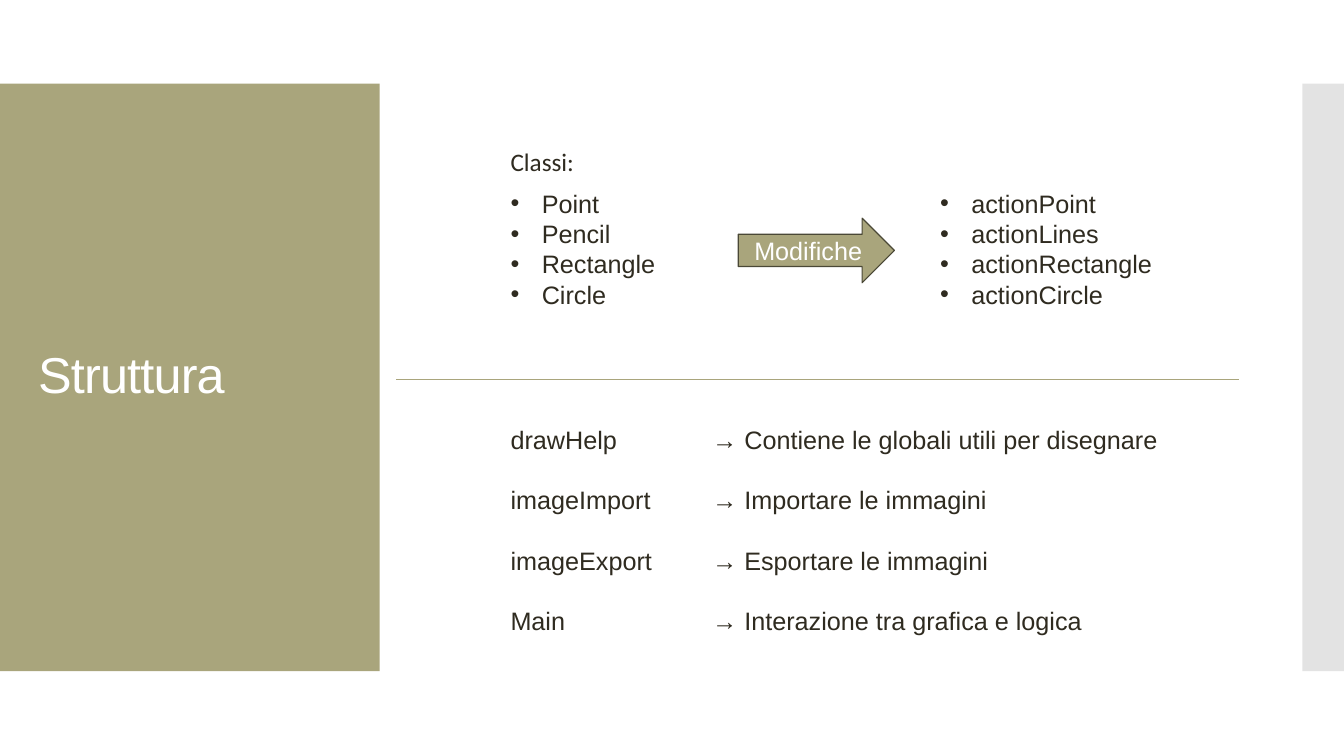
"""Build the "Struttura" slide: a title panel, two class lists and a list of modules."""
from dataclasses import dataclass, field
from typing import Any

from lxml.etree import SubElement
from pptx import Presentation
from pptx.dml.color import RGBColor
from pptx.enum.shapes import MSO_CONNECTOR as Connector, MSO_SHAPE as Preset
from pptx.enum.text import MSO_ANCHOR as Anchor, MSO_AUTO_SIZE as AutoSize, PP_ALIGN as Align
from pptx.oxml.ns import qn
from pptx.util import Inches, Pt

COLUMNS, ROWS = 160, 90
OLIVE, INK, WHITE, GREY, EDGE = "A9A57C", "2F2B20", "FFFFFF", "C8C8C8", "4A4836"
TEXT_LEFT, LIST_TOP, LIST_HEIGHT = 59.58, 21.8, 15.72
PANEL_TOP, PANEL_HEIGHT = 9.96, 69.96
HANGING = Inches(0.31)
LINE = Pt(21.6)


@dataclass(frozen=True)
class Frame:
    """A rectangle in grid columns and rows."""
    column: float
    row: float
    columns: float
    rows: float


@dataclass(frozen=True)
class Block:
    """A text placeholder with its lines and format values."""
    index: int
    frame: Frame
    lines: list[str]
    paragraph: dict[str, Any] = field(default_factory=dict)
    font: dict[str, Any] = field(default_factory=dict)
    color: str = INK
    anchor: Any = Anchor.TOP
    indent: int = 0


@dataclass(frozen=True)
class Panel:
    """A plain coloured band behind the text."""
    frame: Frame
    color: str
    opacity: int = 100


@dataclass(frozen=True)
class Module:
    """A module, the tabs up to the shared column, and its purpose."""
    name: str
    tabs: int
    purpose: str


def paint(target: Any, color: str) -> None:
    """Give a fill, line or font a solid colour."""
    if hasattr(target, "solid"):
        target.solid()
        target.fore_color.rgb = RGBColor.from_string(color)
    else:
        target.color.rgb = RGBColor.from_string(color)


def apply(target: Any, values: dict[str, Any]) -> None:
    """Set every format value on the target."""
    for name, value in values.items():
        setattr(target, name, value)


def across(columns: float) -> int:
    """Turn grid columns into a length."""
    return round(deck.slide_width * columns / COLUMNS)


def down(rows: float) -> int:
    """Turn grid rows into a length."""
    return round(deck.slide_height * rows / ROWS)


def edges(frame: Frame) -> tuple[int, int, int, int]:
    """Turn a frame into left, top, width and height."""
    return across(frame.column), down(frame.row), across(frame.columns), down(frame.rows)


def add_shape(preset: Any, frame: Frame, color: str) -> Any:
    """Draw a filled preset shape without outline or shadow."""
    shape = page.shapes.add_shape(preset, *edges(frame))
    shape.shadow.inherit = False
    paint(shape.fill, color)
    shape.line.fill.background()
    return shape


def add_panel(panel: Panel) -> None:
    """Draw a panel and send it to the back."""
    shape = add_shape(Preset.RECTANGLE, panel.frame, panel.color)
    if panel.opacity < 100:
        tint = next(shape.element.iter(qn("a:srgbClr")))
        SubElement(tint, qn("a:alpha"), val=str(panel.opacity * 1000))
    shape.element.getparent().insert(2, shape.element)


def write(para: Any, text: str, font: dict[str, Any], color: str) -> None:
    """Add one formatted run to a paragraph."""
    span = para.add_run()
    span.text = text
    apply(span.font, {"name": "Arial", "size": Pt(18), "bold": False} | font)
    paint(span.font, color)


def fill_block(block: Block) -> None:
    """Move a placeholder into place and fill it with formatted lines."""
    box = page.placeholders[block.index]
    apply(box, dict(zip(("left", "top", "width", "height"), edges(block.frame))))
    frame = box.text_frame
    apply(frame, {"word_wrap": True, "auto_size": AutoSize.NONE, "vertical_anchor": block.anchor})
    for number, line in enumerate(block.lines):
        para = frame.add_paragraph() if number else frame.paragraphs[0]
        defaults = {"alignment": Align.LEFT, "space_before": Pt(0), "line_spacing": 1.0}
        apply(para, defaults | block.paragraph)
        properties = para._p.get_or_add_pPr()
        properties.set("marL", str(block.indent))
        properties.set("indent", str(-block.indent))
        write(para, line, block.font, block.color)


def add_arrow(frame: Frame, label: str) -> None:
    """Draw the labelled arrow between the lists."""
    arrow = add_shape(Preset.RIGHT_ARROW, frame, OLIVE)
    paint(arrow.line, EDGE)
    arrow.line.width = Pt(0.85)
    arrow.text_frame.vertical_anchor = Anchor.MIDDLE
    para = arrow.text_frame.paragraphs[0]
    para.alignment = Align.CENTER
    write(para, label, {}, WHITE)


def add_divider(start: float, end: float, row: float) -> None:
    """Draw the thin horizontal rule."""
    divider = page.shapes.add_connector(
        Connector.STRAIGHT, across(start), down(row), across(end), down(row))
    paint(divider.line, OLIVE)
    divider.line.width = Pt(0.75)
    SubElement(divider.element.spPr, qn("a:effectLst"))


CLASSES = ["Point", "Pencil", "Rectangle", "Circle"]
ACTIONS = ["actionPoint", "actionLines", "actionRectangle", "actionCircle"]
MODULES = [
    Module("drawHelp", 2, "Contiene le globali utili per disegnare"),
    Module("imageImport", 2, "Importare le immagini"),
    Module("imageExport", 2, "Esportare le immagini"),
    Module("Main", 3, "Interazione tra grafica e logica"),
]
FIXED = {"line_spacing": LINE}
PANELS = [
    Panel(Frame(0, PANEL_TOP, 45.2, PANEL_HEIGHT), OLIVE),
    Panel(Frame(155.04, PANEL_TOP, 4.96, PANEL_HEIGHT), GREY, 50),
]
BLOCKS = [
    Block(0, Frame(3.34, 14.7, 38.6, 60.4), ["Struttura"], {"line_spacing": 0.9},
          {"size": Pt(36)}, WHITE, Anchor.MIDDLE),
    Block(1, Frame(TEXT_LEFT, 16.8, 11.28, 4.8), ["Classi:"], font={"name": "Calibri"}),
    Block(2, Frame(TEXT_LEFT, LIST_TOP, 25.92, LIST_HEIGHT), CLASSES, FIXED, indent=HANGING),
    Block(4, Frame(110.72, LIST_TOP, 36.84, LIST_HEIGHT), ACTIONS, FIXED, indent=HANGING),
    Block(3, Frame(TEXT_LEFT, 49.88, 81.6, 26.64),
          [module.name + "\t" * module.tabs + f"→ {module.purpose}" for module in MODULES],
          FIXED | {"space_after": LINE}),
]

deck = Presentation()
deck.slide_width, deck.slide_height = Inches(40 / 3), Inches(7.5)
page = deck.slides.add_slide(deck.slide_layouts.get_by_name("Comparison"))
for block in BLOCKS:
    fill_block(block)
title_span = page.shapes.title.text_frame.paragraphs[0].runs[0]
title_span.font._element.set("spc", "-60")
for panel in PANELS:
    add_panel(panel)
add_arrow(Frame(87.88, 25.98, 18.6, 7.68), "Modifiche")
add_divider(47.16, 147.48, 45.18)
deck.save("out.pptx")
